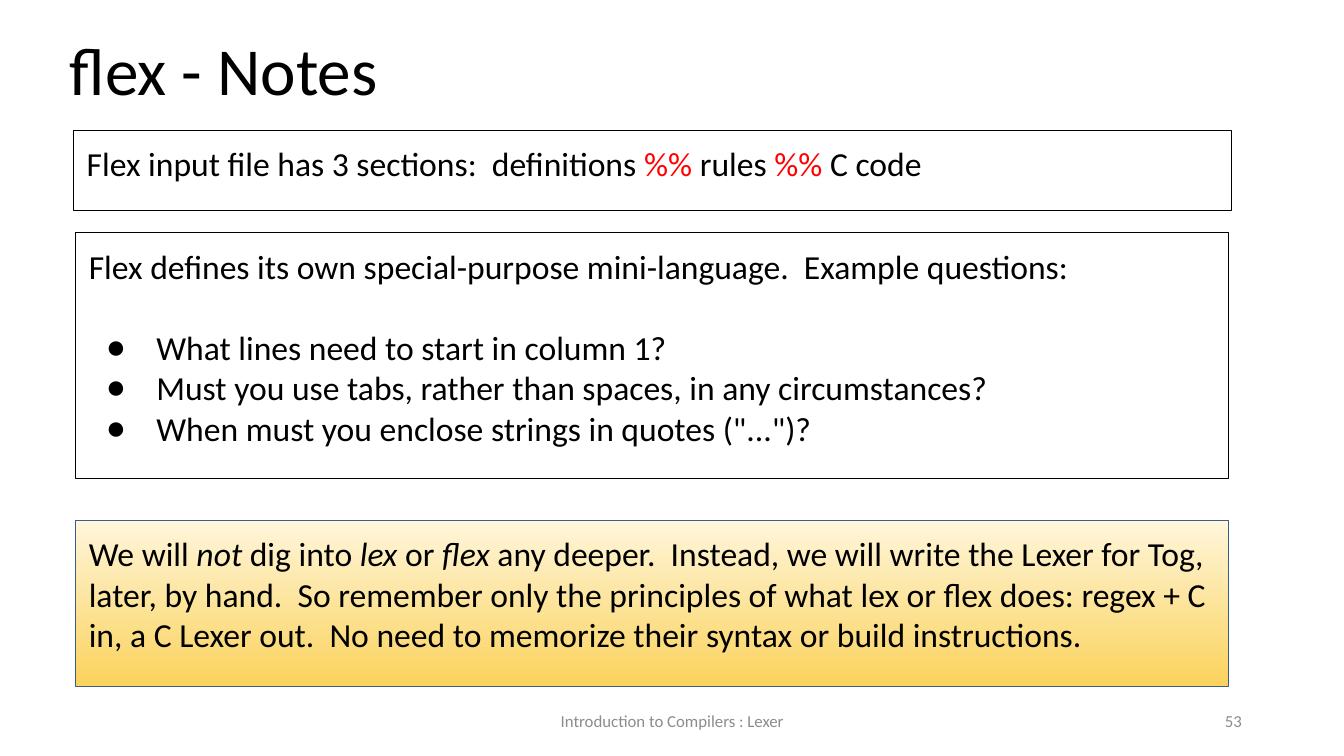
from dataclasses import dataclass
from typing import NamedTuple

from lxml import etree
from pptx import Presentation, util as u
from pptx.dml.color import RGBColor
from pptx.enum import shapes, text
from pptx.oxml.ns import qn


@dataclass(frozen=True)
class Theme:
    font: str = "Calibri"
    ink: str = "000000"
    accent: str = "FF0000"
    muted: str = "8C8C8C"
    gold_border: str = "395E89"
    gold: tuple[str, str] = ("FFF6DB", "FAD25C")
    title_size: float = 48
    body_size: float = 24
    footer_size: float = 12
    border: float = 0.75
    inset: float = 0.13
    footer_inset: float = 0.05
    hanging: float = 0.5
    bullet_indent: float = 0.67


class Area(NamedTuple):
    """Shares of the slide's size, in percent."""
    left: float
    top: float
    width: float
    height: float


class Run(NamedTuple):
    words: str
    color: str | None = None
    italic: bool = False


class Line(NamedTuple):
    runs: list[Run]
    bullet: str | None = None
    before: float = 0


class Panel(NamedTuple):
    area: Area
    line: Line
    border: str
    gradient: tuple[str, str] | None = None


class Footer(NamedTuple):
    area: Area
    words: str
    align: text.PP_ALIGN


THEME = Theme()
WIDTH, HEIGHT = u.Inches(13.333), u.Inches(7.5)

# Content
TITLE = Line([Run("flex - Notes")])
TITLE_AREA = Area(4.2, 2, 54.08, 15.2)

QUESTIONS_AREA = Area(5.63, 30.8, 85.8, 32.53)
QUESTIONS = [
    Line([Run("Flex defines its own special-purpose mini-language.  Example questions:")]),
    Line([Run("What lines need to start in column 1?")], "●", before=29),
    Line([Run("Must you use tabs, rather than spaces, in any circumstances?")], "●"),
    Line([Run('When must you enclose strings in quotes ("...")?')], "●"),
]

PANELS = [
    Panel(Area(5.48, 17.2, 86.18, 10.67), Line([
        Run("Flex input file has 3 sections:  definitions"),
        Run(" %%", THEME.accent),
        Run(" rules "),
        Run("%%", THEME.accent),
        Run(" C code"),
    ]), THEME.ink),
    Panel(Area(5.63, 68.8, 85.8, 22), Line([
        Run("We will "),
        Run("not", italic=True),
        Run(" dig into "),
        Run("lex ", italic=True),
        Run("or "),
        Run("flex", italic=True),
        Run(" any deeper.  Instead, we will write the Lexer for Tog, later, by hand.  "
            "So remember only the principles of what lex or flex does: regex + C in, "
            "a C Lexer out.  No need to memorize their syntax or build instructions."),
    ]), THEME.gold_border, THEME.gold),
]

FOOTERS = [
    Footer(Area(33.15, 92.67, 33.75, 5.33), "Introduction to Compilers : Lexer",
           text.PP_ALIGN.CENTER),
    Footer(Area(70.65, 92.67, 22.5, 5.33), "53", text.PP_ALIGN.RIGHT),
]


def box(area: Area) -> tuple[int, int, int, int]:
    """Turn shares of the slide into lengths."""
    return (int(WIDTH * area.left / 100), int(HEIGHT * area.top / 100),
            int(WIDTH * area.width / 100), int(HEIGHT * area.height / 100))


def place(shape, area: Area) -> None:
    shape.left, shape.top, shape.width, shape.height = box(area)


def set_bullet(paragraph, bullet: str | None) -> None:
    properties = paragraph._p.get_or_add_pPr()
    margin = THEME.bullet_indent if bullet else 0
    indent = -THEME.hanging if bullet else 0
    properties.set("marL", str(u.Inches(margin)))
    properties.set("indent", str(u.Inches(indent)))
    if bullet:
        etree.SubElement(properties, qn("a:buChar")).set("char", bullet)
    else:
        etree.SubElement(properties, qn("a:buNone"))


def write(shape, lines: list[Line], *, size: float = THEME.body_size,
          color: str = THEME.ink, inset: float = THEME.inset,
          align: text.PP_ALIGN = text.PP_ALIGN.LEFT,
          anchor: text.MSO_ANCHOR = text.MSO_ANCHOR.TOP) -> None:
    """Fill a shape with formatted lines."""
    frame = shape.text_frame
    frame.word_wrap = True
    frame.auto_size = text.MSO_AUTO_SIZE.NONE
    frame.vertical_anchor = anchor
    frame.margin_left = frame.margin_right = u.Inches(inset)
    frame.margin_top = frame.margin_bottom = u.Inches(inset)
    for index, line in enumerate(lines):
        paragraph = frame.add_paragraph() if index else frame.paragraphs[0]
        set_bullet(paragraph, line.bullet)
        paragraph.alignment = align
        paragraph.space_before = u.Pt(line.before)
        for part in line.runs:
            run = paragraph.add_run()
            run.text = part.words
            run.font.name = THEME.font
            run.font.size = u.Pt(size)
            run.font.italic = part.italic
            run.font.color.rgb = RGBColor.from_string(part.color or color)


def outline(shape, color: str) -> None:
    shape.line.color.rgb = RGBColor.from_string(color)
    shape.line.width = u.Pt(THEME.border)


def add_panel(slide, panel: Panel) -> None:
    shape = slide.shapes.add_shape(shapes.MSO_SHAPE.RECTANGLE, *box(panel.area))
    shape.shadow.inherit = False
    if panel.gradient:
        shape.fill.gradient()
        shape.fill.gradient_angle = 270
        for position, (stop, color) in enumerate(zip(shape.fill.gradient_stops, panel.gradient)):
            stop.position = position
            stop.color.rgb = RGBColor.from_string(color)
    else:
        shape.fill.background()
    outline(shape, panel.border)
    write(shape, [panel.line])


def add_footer(slide, footer: Footer) -> None:
    shape = slide.shapes.add_textbox(*box(footer.area))
    write(shape, [Line([Run(footer.words)])], size=THEME.footer_size, color=THEME.muted,
          inset=THEME.footer_inset, align=footer.align, anchor=text.MSO_ANCHOR.MIDDLE)
    shape.text_frame.margin_left = shape.text_frame.margin_right = u.Inches(0.1)


def main() -> None:
    presentation = Presentation()
    presentation.slide_width, presentation.slide_height = WIDTH, HEIGHT
    slide = presentation.slides.add_slide(presentation.slide_layouts[1])

    # Title and list of questions
    title, questions = slide.placeholders
    place(title, TITLE_AREA)
    write(title, [TITLE], size=THEME.title_size)
    place(questions, QUESTIONS_AREA)
    outline(questions, THEME.ink)
    write(questions, QUESTIONS)

    # Framed remarks
    for panel in PANELS:
        add_panel(slide, panel)

    # Footer
    for footer in FOOTERS:
        add_footer(slide, footer)

    presentation.save("out.pptx")


if __name__ == "__main__":
    main()
